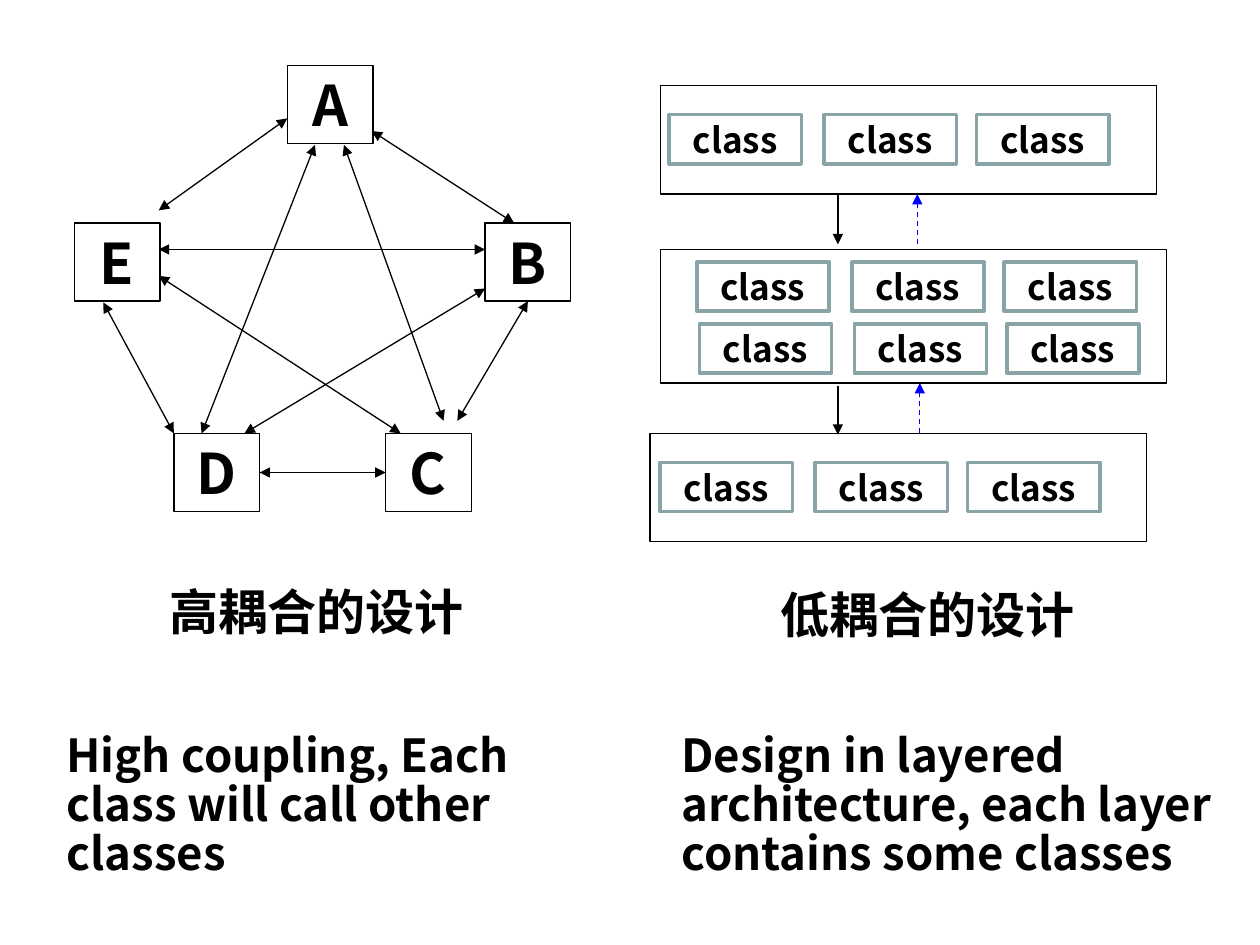
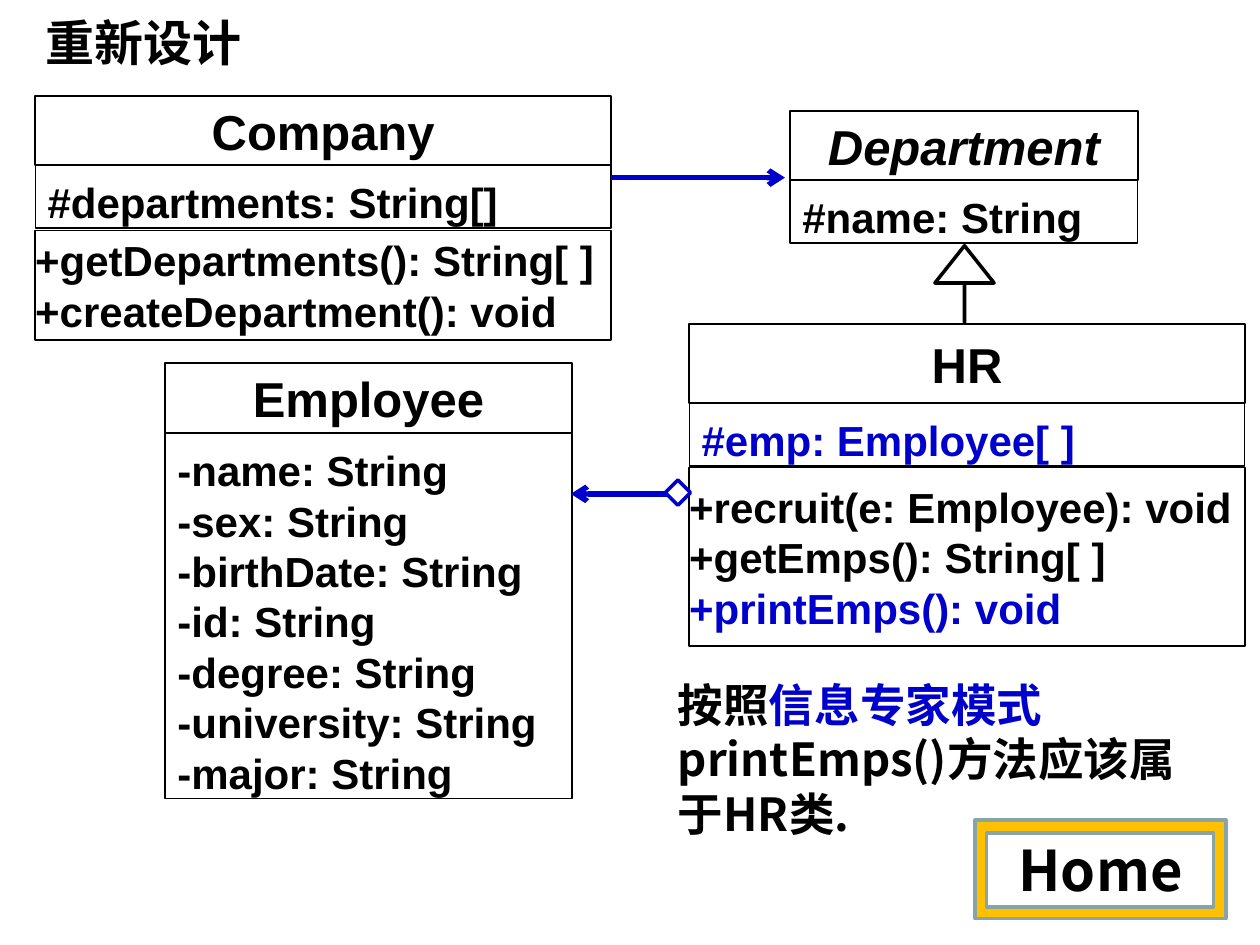
"""Build two slides on coupling: call graph versus layers, and a redesigned class diagram."""
from pptx import Presentation
from pptx.dml.color import RGBColor as RGB
from pptx.enum.dml import MSO_LINE
from pptx.enum.shapes import MSO_CONNECTOR, MSO_SHAPE as SHP
from pptx.enum.text import MSO_ANCHOR as ANC, PP_ALIGN as AL
from pptx.oxml.ns import qn
from pptx.util import Emu, Inches, Pt
from lxml.etree import SubElement

COL = {k: RGB.from_string(v) for k, v in {
    "black": "000000", "white": "FFFFFF", "teal": "89A4A7",
    "blue": "0000CC", "call": "0000FF", "gold": "FFC000"}.items()}
CJK, LATIN = "Noto Sans CJK SC", "Arial"

prs = Presentation()
prs.slide_width, prs.slide_height = Inches(10), Inches(7.5)
CELL = prs.slide_width / 100


def box(s, x, y, w, h, line="black", width=0.75, fill="white", kind=SHP.RECTANGLE):
    """Add a preset shape placed in grid cells."""
    sp = s.shapes.add_shape(kind, *(Emu(round(v * CELL)) for v in (x, y, w, h)))
    sp.shadow.inherit = False
    if fill:
        sp.fill.solid()
        sp.fill.fore_color.rgb = COL[fill]
    else:
        sp.fill.background()
    sp.line.color.rgb = COL[line]
    sp.line.width = Pt(width)
    return sp


def write(sp, text, size, font=CJK, align=AL.CENTER, anchor=ANC.MIDDLE,
          inset=(0.1, 0.05, 0.1, 0.05), spacing=1.0, wrap=True):
    """Fill a shape with bold text, or format the runs it already has."""
    tf = sp.text_frame
    tf.word_wrap, tf.vertical_anchor = wrap, anchor
    tf.margin_left, tf.margin_top, tf.margin_right, tf.margin_bottom = map(Inches, inset)
    if text:
        tf.text = text
    for p in tf.paragraphs:
        p.alignment, p.line_spacing, p.space_before = align, spacing, Pt(0)
        for r in p.runs:
            r.font.size, r.font.name, r.font.bold = Pt(size), font, True
            r.font.color.rgb = COL["black"]
            SubElement(r._r.get_or_add_rPr(), qn("a:ea"), typeface=font)


s1 = prs.slides.add_slide(prs.slide_layouts[6])
nodes = {}
for name, x, y in [("A", 22.8, 5.2), ("E", 5.9, 17.7), ("B", 38.5, 17.7),
                   ("C", 30.6, 34.4), ("D", 13.8, 34.4)]:
    nodes[name] = box(s1, x, y, 6.8, 6.2)
    write(nodes[name], name, 32, wrap=False)

CLASS_COLS = (0, 12.3, 24.4)
for x, y, w, h, rows in [
        (52.4, 6.8, 39.4, 8.6, [(53.1, 9.1)]),
        (52.4, 19.8, 40.2, 10.6, [(55.3, 20.8), (55.5, 25.7)]),
        (51.6, 34.4, 39.4, 8.6, [(52.4, 36.7)])]:
    box(s1, x, y, w, h, fill=None)
    for left, top in rows:
        for dx in CLASS_COLS:
            write(box(s1, left + dx, top, 10.5, 3.9, "teal", 2), "class", 20)

for x, y, w, h, text, size, align in [
        (8.9, 46.2, 32.4, 5.2, "高耦合的设计", 28, AL.CENTER),
        (53.1, 46.4, 41, 5.2, "低耦合的设计", 28, AL.CENTER),
        (4.3, 57.7, 43.3, 12.7, "High coupling, Each class will call other classes", 26, AL.LEFT),
        (53.1, 57.7, 44.2, 16.6,
         "Design in layered architecture, each layer contains some classes", 26, AL.LEFT)]:
    tb = s1.shapes.add_textbox(*(Emu(round(v * CELL)) for v in (x, y, w, h)))
    write(tb, text, size, align=align, anchor=ANC.TOP, spacing=0.9)

s2 = prs.slides.add_slide(prs.slide_layouts[1])
title, body = s2.placeholders
for sp, area in [(title, (2.6, 0.5, 30, 5.7)), (body, (52.8, 53.2, 42.2, 14.2))]:
    sp.left, sp.top, sp.width, sp.height = (Emu(round(v * CELL)) for v in area)
write(title, "重新设计", 28, align=AL.LEFT, anchor=ANC.TOP)

p = body.text_frame.paragraphs[0]
pPr = p._p.get_or_add_pPr()
pPr.set("marL", "0")
pPr.set("indent", "0")
SubElement(pPr, qn("a:buNone"))
for text in ("按照", "信息专家模式", "printEmps()方法应该属于HR类."):
    p.add_run().text = text
write(body, None, 26, align=AL.LEFT, anchor=ANC.TOP)
p.runs[1].font.color.rgb = COL["blue"]

HEAD, FIELDS = (0, 0.03, 0, 0.03), (0.1, 0.09, 0.1, 0.01)
EMPLOYEE = "\n".join(f"-{f}: String" for f in (
    "name", "sex", "birthDate", "id", "degree", "university", "major"))
parts = {}
for name, x, y, w, head_h, fields, fields_h, methods, methods_y, methods_h in [
        ("Company", 2.8, 7.6, 45.7, 5.5, "#departments: String[]", 5,
         "+getDepartments(): String[ ]\n+createDepartment(): void", 18.3, 8.7),
        ("HR", 54.7, 25.7, 44.1, 6.3, "#emp: Employee[ ]", 5,
         "+recruit(e: Employee): void\n+getEmps(): String[ ]\n+printEmps(): void", 37.1, 14.2),
        ("Employee", 13.1, 28.8, 32.3, 5.6, EMPLOYEE, 29, None, 0, 0),
        ("Department", 62.7, 8.8, 27.6, 5.5, "#name: String", 5, None, 0, 0)]:
    head = box(s2, x, y, w, head_h, width=1)
    write(head, name, 28, LATIN, inset=HEAD)
    if methods:
        ops = box(s2, x, methods_y, w, methods_h, width=1)
        write(ops, methods, 24, LATIN, AL.LEFT, inset=HEAD)
        parts[name, "methods"] = ops
    attrs = box(s2, x, y + head_h, w, fields_h)
    write(attrs, fields, 24, LATIN, AL.LEFT, ANC.TOP, FIELDS)
    parts[name, "head"], parts[name, "fields"] = head, attrs

parts["Department", "head"].text_frame.paragraphs[0].runs[0].font.italic = True
for key, line in [(("HR", "fields"), 0), (("HR", "methods"), 2)]:
    parts[key].text_frame.paragraphs[line].runs[0].font.color.rgb = COL["blue"]

diamond = box(s2, 52.8, 38.1, 2, 2, "blue", 2, kind=SHP.DIAMOND)
inherits = box(s2, 74.2, 19.5, 4.7, 6.1, width=2, kind=SHP.UP_ARROW)
inherits.adjustments[0], inherits.adjustments[1] = 0, 0.63

outer, inner = [[(round(x * CELL), round(y * CELL)) for x, y in pts] for pts in (
    [(77.4, 65.1), (97.3, 65.1), (97.3, 72.9), (77.4, 72.9)],
    [(78.3, 66.1), (78.3, 72), (96.3, 72), (96.3, 66.1)])]
fb = s2.shapes.build_freeform(*outer[0])
fb.add_line_segments(outer[1:])
fb.move_to(*inner[0])
fb.add_line_segments(inner[1:])
home = fb.convert_to_shape()
home.shadow.inherit = False
home.fill.solid()
home.fill.fore_color.rgb = COL["gold"]
home.line.color.rgb, home.line.width = COL["teal"], Pt(2)
write(home, "Home", 32)

TWO_WAY = ("black", 0.74, "triangle", True)
DOWN = ("black", 0.74, "triangle", False)
UP = ("call", 0.74, "triangle", False)
USES = ("blue", 3, "arrow", False)
for s, ends, (color, width, tip, both), start, end in [
        (s1, (22.8, 9.4, 12.6, 16.7), TWO_WAY, None, None),
        (s1, (25, 11.5, 16, 34.4), TWO_WAY, None, None),
        (s1, (29.5, 10.4, 40.8, 17.7), TWO_WAY, None, None),
        (s1, (38.5, 19.8, 12.6, 19.8), TWO_WAY, None, None),
        (s1, (27.3, 11.5, 35.2, 33.4), TWO_WAY, None, None),
        (s1, (8.2, 24, 13.8, 34.4), TWO_WAY, None, None),
        (s1, (41.9, 24, 36.3, 33.4), TWO_WAY, (nodes["B"], 2), None),
        (s1, (30.6, 37.5, 20.5, 37.5), TWO_WAY, (nodes["C"], 1), (nodes["D"], 3)),
        (s1, (38.5, 22.9, 19.4, 34.4), TWO_WAY, None, None),
        (s1, (31.8, 34.4, 12.6, 21.9), TWO_WAY, None, None),
        (s1, (66.5, 15.5, 66.5, 19.4), DOWN, None, None),
        (s1, (66.5, 30.6, 66.5, 34.5), DOWN, None, None),
        (s1, (73, 34.4, 73, 30.4), UP, None, None),
        (s1, (72.8, 19.4, 72.8, 15.4), UP, None, None),
        (s2, (52.9, 39.2, 45.3, 39.2), USES, None, None),
        (s2, (48.5, 14.1, 62.3, 14.1), USES, None, None)]:
    cn = s.shapes.add_connector(MSO_CONNECTOR.STRAIGHT, *(Emu(round(v * CELL)) for v in ends))
    if start:
        cn.begin_connect(*start)
    if end:
        cn.end_connect(*end)
    cn.line.color.rgb, cn.line.width = COL[color], Pt(width)
    if color == "call":
        cn.line.dash_style = MSO_LINE.DASH
    spPr = cn.element.spPr
    ln = spPr.find(qn("a:ln"))
    SubElement(ln, qn("a:round"))
    if both:
        SubElement(ln, qn("a:headEnd"), type=tip)
    SubElement(ln, qn("a:tailEnd"), type=tip)
    SubElement(spPr, qn("a:effectLst"))

prs.save("out.pptx")
